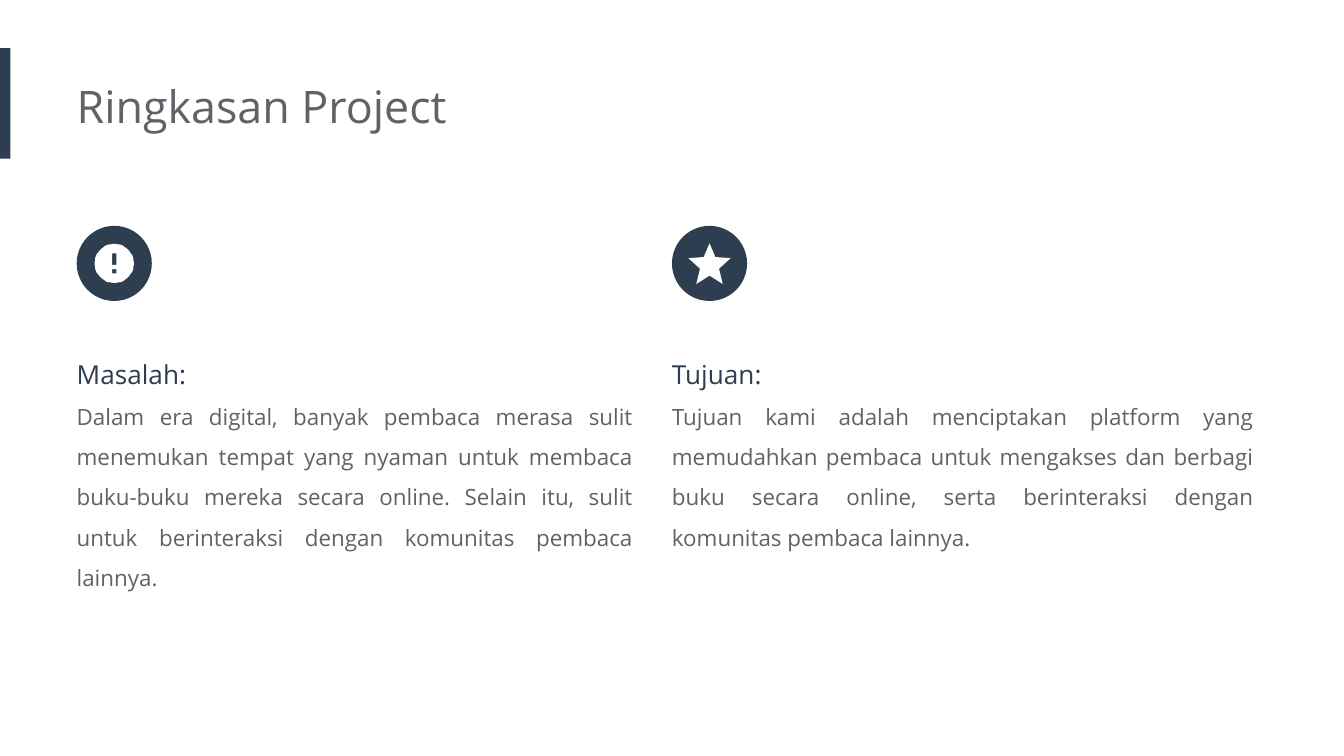
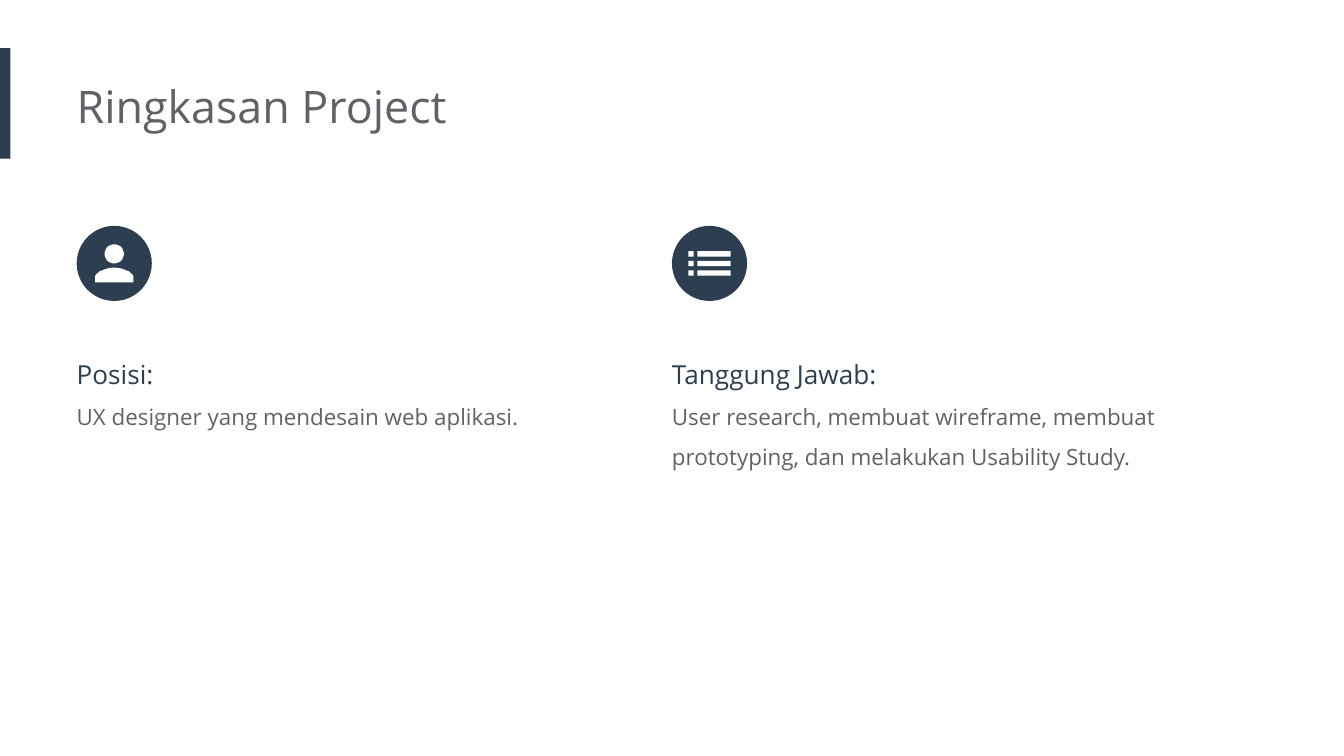
from dataclasses import dataclass
from math import cos, pi, sin

from pptx import Presentation
from pptx.dml.color import RGBColor
from pptx.enum.shapes import MSO_SHAPE
from pptx.enum.text import MSO_ANCHOR, MSO_AUTO_SIZE, PP_ALIGN
from pptx.shapes.autoshape import Shape
from pptx.slide import Slide
from pptx.util import Cm, Pt

RECTANGLE = MSO_SHAPE.RECTANGLE
OVAL = MSO_SHAPE.OVAL
TOP = MSO_ANCHOR.TOP
GROW = MSO_AUTO_SIZE.SHAPE_TO_FIT_TEXT
LEFT = PP_ALIGN.LEFT
JUSTIFY = PP_ALIGN.JUSTIFY

COLORS = {"navy": "2D3E50", "gray": "5F6368", "white": "FFFFFF"}
FONT = "Open Sans"
TITLE = "Ringkasan Project"
COLUMN_LEFTS = (1.45, 12.7)
BADGE_TOP = 4.27
BADGE_SIZE = 1.42
TEXT_TOP = 6.22
ICON_UNIT = Cm(0.01)

Point = tuple[float, float]
Outline = list[Point]


@dataclass(frozen=True)
class Line:
    text: str
    size: float
    color: str


@dataclass(frozen=True)
class Topic:
    heading: str
    body: str
    icon: list[Outline]
    width: float
    height: float
    align: PP_ALIGN = LEFT


def rectangle(left: float, top: float, right: float, bottom: float) -> Outline:
    return [(left, top), (right, top), (right, bottom), (left, bottom)]


def circle(radius: float, center_y: float = 0, steps: int = 72) -> Outline:
    angles = [2 * pi * step / steps for step in range(steps)]
    return [(radius * cos(a), center_y + radius * sin(a)) for a in angles]


def curve(start: Point, pull_out: Point, pull_in: Point, end: Point, steps: int = 16) -> Outline:
    """Sample a cubic Bezier curve."""
    points = []
    for step in range(steps + 1):
        t = step / steps
        weights = ((1 - t) ** 3, 3 * t * (1 - t) ** 2, 3 * t * t * (1 - t), t ** 3)
        corners = (start, pull_out, pull_in, end)
        points.append((sum(w * c[0] for w, c in zip(weights, corners)),
                       sum(w * c[1] for w, c in zip(weights, corners))))
    return points


def mirrored(right_half: Outline) -> Outline:
    """Close a right half with its reflection in the vertical axis."""
    return right_half + [(-x, y) for x, y in reversed(right_half) if x]


# Icon outlines are in hundredths of a centimetre around the badge centre.
ALERT = [circle(37), rectangle(-4, -19, 4, 3), rectangle(-4, 11, 4, 19)]
STAR = [mirrored([(0, -38), (11, -12), (40, -10), (18, 10), (25, 39), (0, 23)])]
PERSON = [circle(18, -18),
          mirrored(curve((0, 8), (12, 8), (36, 15), (36, 26)) + [(36, 36)])]
LIST = [rectangle(left, row - 5, right, row + 5)
        for row in (-18, 0, 18) for left, right in ((-40, -30), (-23, 40))]

PAGES = [
    (
        Topic("Masalah:",
              "Dalam era digital, banyak pembaca merasa sulit menemukan tempat yang "
              "nyaman untuk membaca buku-buku mereka secara online. Selain itu, sulit "
              "untuk berinteraksi dengan komunitas pembaca lainnya.",
              ALERT, 10.77, 5.26, JUSTIFY),
        Topic("Tujuan:",
              "Tujuan kami adalah menciptakan platform yang memudahkan pembaca untuk "
              "mengakses dan berbagi buku secara online, serta berinteraksi dengan "
              "komunitas pembaca lainnya.",
              STAR, 11.25, 4.5, JUSTIFY),
    ),
    (
        Topic("Posisi:", "UX designer yang mendesain web aplikasi.", PERSON, 9.58, 2.18),
        Topic("Tanggung Jawab:",
              "User research, membuat wireframe, membuat prototyping, dan melakukan "
              "Usability Study.",
              LIST, 9.58, 2.69),
    ),
]


def paint(shape: Shape, color: str) -> None:
    shape.shadow.inherit = False
    shape.fill.solid()
    shape.fill.fore_color.rgb = RGBColor.from_string(COLORS[color])
    shape.line.fill.background()


def add_text(page: Slide, lines: list[Line], *, left: float, top: float, width: float,
             height: float, align: PP_ALIGN = LEFT, spacing: float = 1.0) -> None:
    box = page.shapes.add_textbox(Cm(left), Cm(top), Cm(width), Cm(height))
    frame = box.text_frame
    frame.word_wrap = True
    frame.auto_size = GROW
    frame.vertical_anchor = TOP
    frame.margin_left = 0
    frame.margin_top = frame.margin_right = frame.margin_bottom = Cm(0.25)
    for index, line in enumerate(lines):
        para = frame.add_paragraph() if index else frame.paragraphs[0]
        para.alignment = align
        para.line_spacing = spacing
        span = para.add_run()
        span.text = line.text
        span.font.name = FONT
        span.font.size = Pt(line.size)
        span.font.color.rgb = RGBColor.from_string(COLORS[line.color])


def add_badge(page: Slide, left: float, icon: list[Outline]) -> None:
    badge = page.shapes.add_shape(OVAL, Cm(left), Cm(BADGE_TOP), Cm(BADGE_SIZE), Cm(BADGE_SIZE))
    paint(badge, "navy")
    first, *others = icon
    builder = page.shapes.build_freeform(*first[0], scale=1 / ICON_UNIT * ICON_UNIT ** 2)
    builder.add_line_segments(first[1:], close=True)
    for outline in others:
        builder.move_to(*outline[0])
        builder.add_line_segments(outline[1:], close=True)
    center = BADGE_SIZE / 2
    paint(builder.convert_to_shape(Cm(left + center), Cm(BADGE_TOP + center)), "white")


def add_topic(page: Slide, left: float, topic: Topic) -> None:
    add_badge(page, left, topic.icon)
    lines = [Line(topic.heading, 14, "navy"), Line(topic.body, 12, "gray")]
    add_text(page, lines, left=left, top=TEXT_TOP, width=topic.width,
             height=topic.height, align=topic.align, spacing=1.5)


def add_title(page: Slide) -> None:
    band = page.shapes.add_shape(RECTANGLE, 0, Cm(0.91), Cm(0.2), Cm(2.09))
    paint(band, "navy")
    add_text(page, [Line(TITLE, 24, "gray")], left=COLUMN_LEFTS[0], top=1.24,
             width=17.09, height=1.55)


def main() -> None:
    deck = Presentation()
    deck.slide_width = Cm(25.4)
    deck.slide_height = Cm(14.29)
    for topics in PAGES:
        page = deck.slides.add_slide(deck.slide_layouts[6])
        add_title(page)
        for left, topic in zip(COLUMN_LEFTS, topics):
            add_topic(page, left, topic)
    deck.save("out.pptx")


if __name__ == "__main__":
    main()
